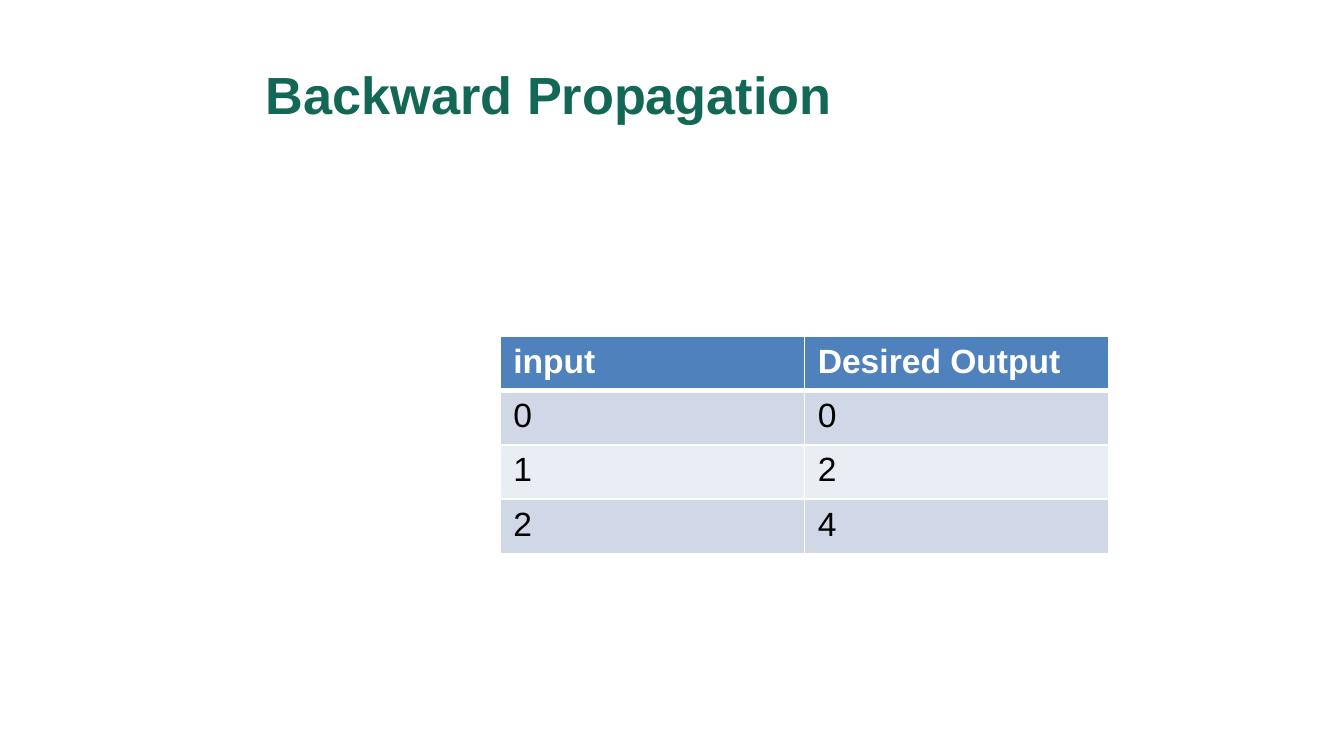
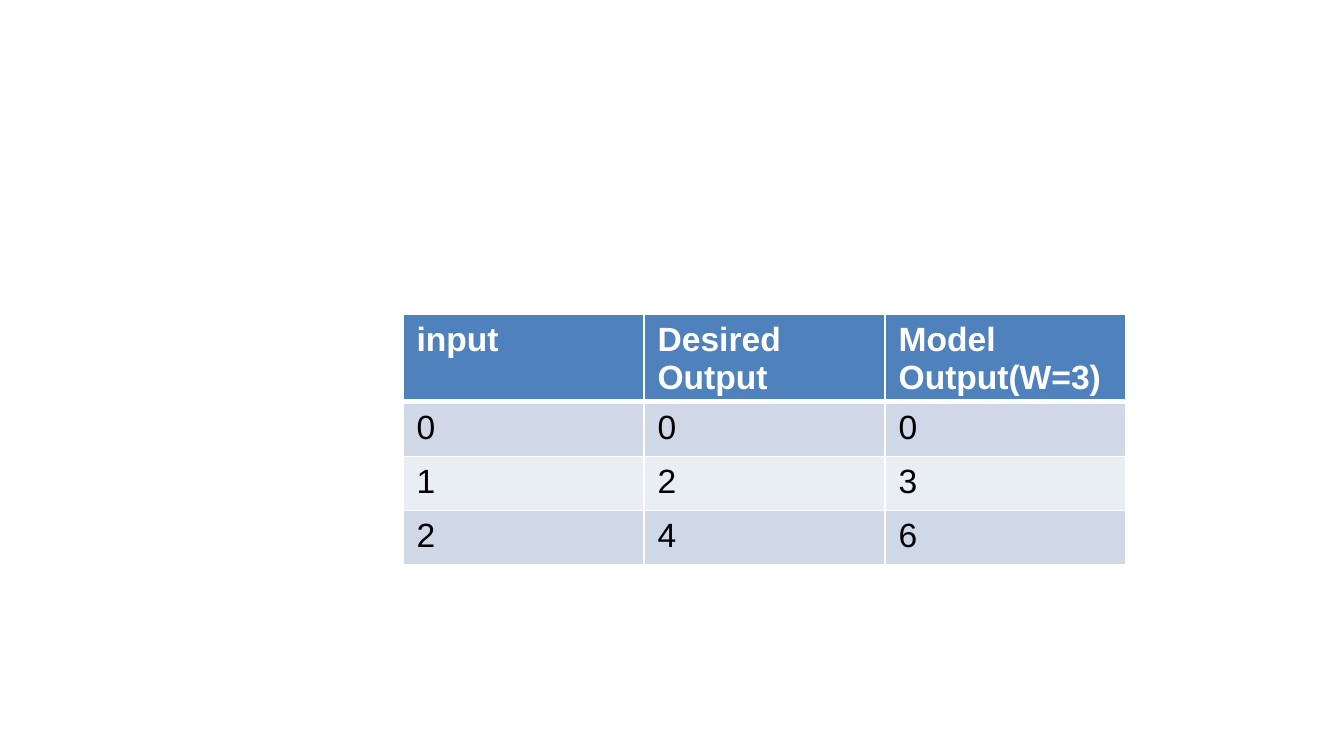
from dataclasses import dataclass

from lxml import etree
from pptx import Presentation
from pptx import util as u
from pptx.dml.color import RGBColor
from pptx.enum import text
from pptx.oxml.ns import qn

FONT = "Arial"
GREEN, BLUE, WHITE, BLACK = "136855", "4F81BD", "FFFFFF", "000000"
BANDS = "D0D8E8", "E9EDF4"
WIDE = 10
ROW = 1.62 / 4
THIN, THICK = 1, 3


@dataclass
class Grid:
    left: float
    top: float
    width: float
    head: float
    rows: list[tuple[str, ...]]


PAIRS = Grid(3.72, 2.5, 4.53, ROW, [
    ("input", "Desired Output"),
    ("0", "0"),
    ("1", "2"),
    ("2", "4"),
])
MODEL = Grid(3, 2.34, 5.38, 0.63, [
    ("input", "Desired Output", "Model Output(W=3)"),
    ("0", "0", "0"),
    ("1", "2", "3"),
    ("2", "4", "6"),
])


def rgb(code: str) -> RGBColor:
    return RGBColor.from_string(code)


def write(frame, words: str, *, size: float = 18, color: str = BLACK,
          bold: bool = False) -> None:
    run = frame.paragraphs[0].add_run()
    run.text = words
    font = run.font
    font.name, font.size, font.bold = FONT, u.Pt(size), bold
    font.color.rgb = rgb(color)


def edge(cell, side: str, width: float) -> None:
    """Draw a white border on one side; call before the cell is filled."""
    props = cell._tc.get_or_add_tcPr()
    line = etree.SubElement(props, qn(f"a:ln{side}"), w=str(u.Pt(width)))
    fill = etree.SubElement(line, qn("a:solidFill"))
    etree.SubElement(fill, qn("a:srgbClr"), val=WHITE)


def title(slide, words: str) -> None:
    box = slide.shapes.add_textbox(
        u.Inches(1.88), u.Inches(0.23), u.Inches(7.62), u.Inches(0.94))
    frame = box.text_frame
    frame.word_wrap = True
    frame.vertical_anchor = text.MSO_ANCHOR.MIDDLE
    write(frame, words, size=28, color=GREEN, bold=True)


def draw(slide, grid: Grid) -> None:
    count = len(grid.rows[0])
    heights = [grid.head] + [ROW] * (len(grid.rows) - 1)
    table = slide.shapes.add_table(
        len(grid.rows), count, u.Inches(grid.left), u.Inches(grid.top),
        u.Inches(grid.width), u.Inches(sum(heights))).table
    for col in table.columns:
        col.width = u.Inches(grid.width / count)
    for r, (words, height) in enumerate(zip(grid.rows, heights)):
        table.rows[r].height = u.Inches(height)
        head = r == 0
        for c, word in enumerate(words):
            cell = table.cell(r, c)
            if head:
                cell.margin_bottom = 0
            for side in "LRTB":
                thick = (r, side) in ((0, "B"), (1, "T"))
                edge(cell, side, THICK if thick else THIN)
            cell.fill.solid()
            cell.fill.fore_color.rgb = rgb(BLUE if head else BANDS[(r - 1) % 2])
            write(cell.text_frame, word, color=WHITE if head else BLACK, bold=head)


def main() -> None:
    deck = Presentation()
    deck.slide_width, deck.slide_height = u.Inches(WIDE), u.Inches(WIDE * 9 / 16)
    blank = deck.slide_layouts[6]

    first = deck.slides.add_slide(blank)
    title(first, "Backward Propagation")
    draw(first, PAIRS)

    draw(deck.slides.add_slide(blank), MODEL)
    deck.save("out.pptx")


if __name__ == "__main__":
    main()
